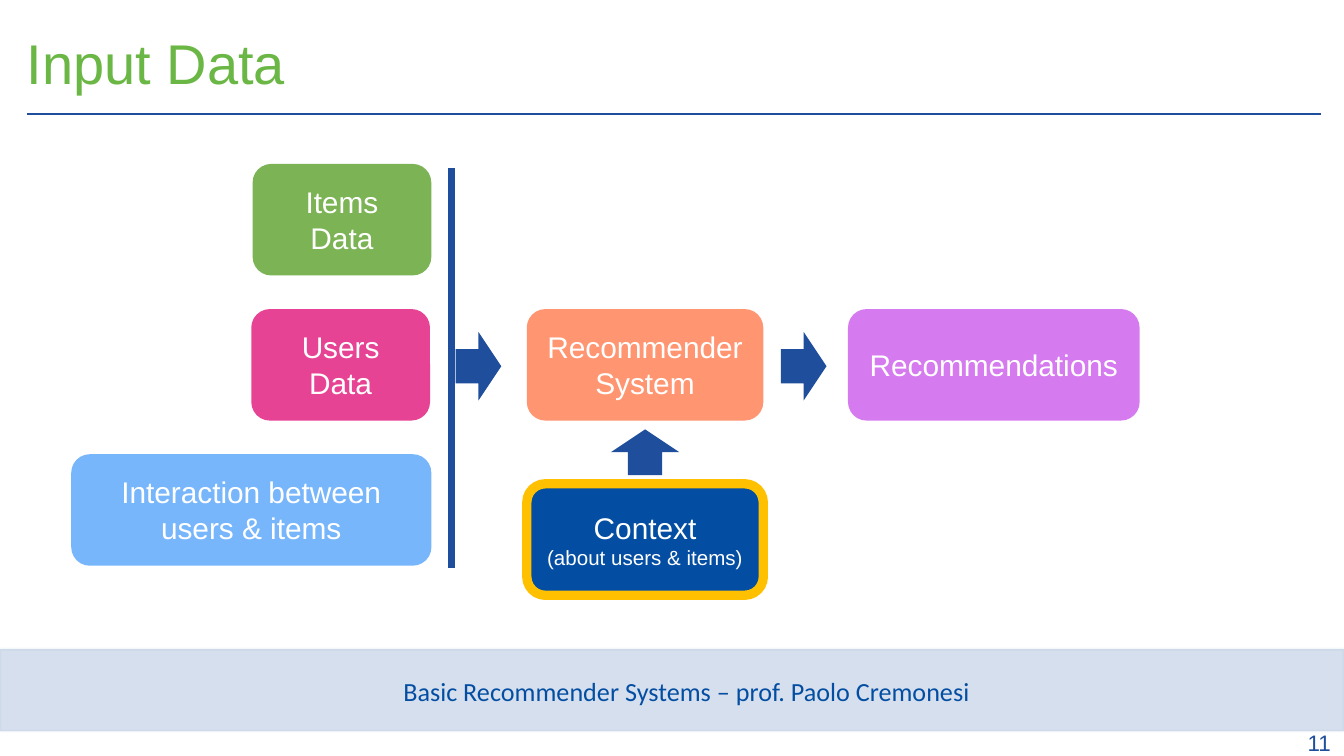
from dataclasses import dataclass

from lxml.etree import SubElement
from pptx import Presentation
from pptx.dml.color import RGBColor
from pptx.enum.shapes import MSO_CONNECTOR, MSO_SHAPE
from pptx.enum.text import MSO_ANCHOR, PP_ALIGN
from pptx.oxml.ns import qn
from pptx.util import Inches, Pt


@dataclass(frozen=True)
class Theme:
    font: str = "Arial"
    footer_font: str = "Calibri"
    title_size: int = 30
    box_size: int = 16
    note_size: int = 11
    footer_size: int = 14
    number_size: int = 12
    title: str = "6BB745"
    navy: str = "1E4E9C"
    blue: str = "034EA2"
    white: str = "FFFFFF"
    band_edge: str = "5591B0"
    items: str = "7CB455"
    users: str = "E74394"
    interaction: str = "78B6FC"
    system: str = "FF9571"
    results: str = "D67AEF"
    highlight: str = "FFC000"


THEME = Theme()
ROW_TOP, ROW_HEIGHT = 2.3, 0.83
ROW_PITCH = 1.08


def set_opacity(block, fill_percent, line_percent):
    colors = block._element.spPr.iter(qn("a:srgbClr"))
    for color, percent in zip(colors, (fill_percent, line_percent)):
        SubElement(color, qn("a:alpha"), val=str(percent * 1000))


def style_runs(para, size, color, font=THEME.font):
    for span in para.runs:
        span.font.name = font
        span.font.size = Pt(size)
        span.font.color.rgb = RGBColor.from_string(color)


def add_block(page, kind, left, top, width, height, fill):
    block = page.shapes.add_shape(
        kind, Inches(left), Inches(top), Inches(width), Inches(height))
    block.shadow.inherit = False
    block.fill.solid()
    block.fill.fore_color.rgb = RGBColor.from_string(fill)
    block.line.fill.background()
    return block


def add_outline(block, color, width):
    block.line.color.rgb = RGBColor.from_string(color)
    block.line.width = Pt(width)


def add_box(page, text, left, top, width, fill, sizes=(THEME.box_size,) * 2):
    """Add a rounded box; sizes holds one type size per paragraph."""
    box = add_block(page, MSO_SHAPE.ROUNDED_RECTANGLE, left, top, width,
                    ROW_HEIGHT, fill)
    frame = box.text_frame
    frame.word_wrap = True
    frame.vertical_anchor = MSO_ANCHOR.MIDDLE
    frame.text = text
    for para, size in zip(frame.paragraphs, sizes):
        para.alignment = PP_ALIGN.CENTER
        style_runs(para, size, THEME.white)
    return box


def add_arrow(page, left, top, rotation=0):
    arrow = add_block(page, MSO_SHAPE.RIGHT_ARROW, left, top, 0.34, 0.51,
                      THEME.navy)
    arrow.rotation = rotation


def add_rule(page, start, end, width):
    rule = page.shapes.add_connector(
        MSO_CONNECTOR.STRAIGHT, *(Inches(value) for value in start + end))
    rule.line.color.rgb = RGBColor.from_string(THEME.navy)
    rule.line.width = Pt(width)
    SubElement(rule._element.spPr, qn("a:effectLst"))


def add_label(page, text, left, top, width, height, size, color,
              align=PP_ALIGN.LEFT, font=THEME.font, anchor=MSO_ANCHOR.MIDDLE):
    label = page.shapes.add_textbox(
        Inches(left), Inches(top), Inches(width), Inches(height))
    frame = label.text_frame
    frame.word_wrap = True
    frame.vertical_anchor = anchor
    frame.text = text
    para = frame.paragraphs[0]
    para.alignment = align
    style_runs(para, size, color, font)
    return label


def add_footer(page):
    band = add_block(page, MSO_SHAPE.RECTANGLE, 0, 4.83, 10, 0.61, THEME.navy)
    add_outline(band, THEME.band_edge, 1.5)
    set_opacity(band, fill_percent=18, line_percent=5)
    add_label(page, "Basic Recommender Systems – prof. Paolo Cremonesi",
              2.69, 4.98, 4.84, 0.3, THEME.footer_size, THEME.blue,
              PP_ALIGN.CENTER, THEME.footer_font, MSO_ANCHOR.TOP)
    add_label(page, "11", 7.71, 5.43, 2.29, 0.19, THEME.number_size,
              THEME.navy, PP_ALIGN.RIGHT)


def add_title(page):
    add_rule(page, (0.2, 0.85), (9.83, 0.85), 1.25)
    title = add_label(page, "Input Data", 0, 0.16, 10, 0.61,
                      THEME.title_size, THEME.title)
    title.text_frame.margin_left = Inches(0.2)
    title.text_frame.paragraphs[0].space_before = Pt(6)


def add_flow(page):
    inputs = (
        ("Items\nData", 1.88, 1.33, THEME.items),
        ("Users\nData", 1.87, 1.33, THEME.users),
        ("Interaction between users & items", 0.53, 2.68, THEME.interaction),
    )
    for row, (text, left, width, fill) in enumerate(inputs, start=-1):
        add_box(page, text, left, ROW_TOP + row * ROW_PITCH, width, fill)
    add_rule(page, (3.36, 1.25), (3.36, 4.23), 3.75)
    add_box(page, "Recommender System", 3.92, ROW_TOP, 1.76, THEME.system)
    add_box(page, "Recommendations", 6.31, ROW_TOP, 2.17, THEME.results)
    context = add_box(page, "Context\n(about users & items)", 3.92, 3.6, 1.76,
                      THEME.blue, (THEME.box_size, THEME.note_size))
    add_outline(context, THEME.highlight, 5)
    for left in (3.39, 5.81):
        add_arrow(page, left, 2.47)
    add_arrow(page, 4.63, 3.11, rotation=270)


def main():
    deck = Presentation()
    deck.slide_width = Inches(10)
    deck.slide_height = deck.slide_width * 9 // 16
    page = deck.slides.add_slide(deck.slide_layouts[6])
    add_footer(page)
    add_title(page)
    add_flow(page)
    deck.save("out.pptx")


if __name__ == "__main__":
    main()
